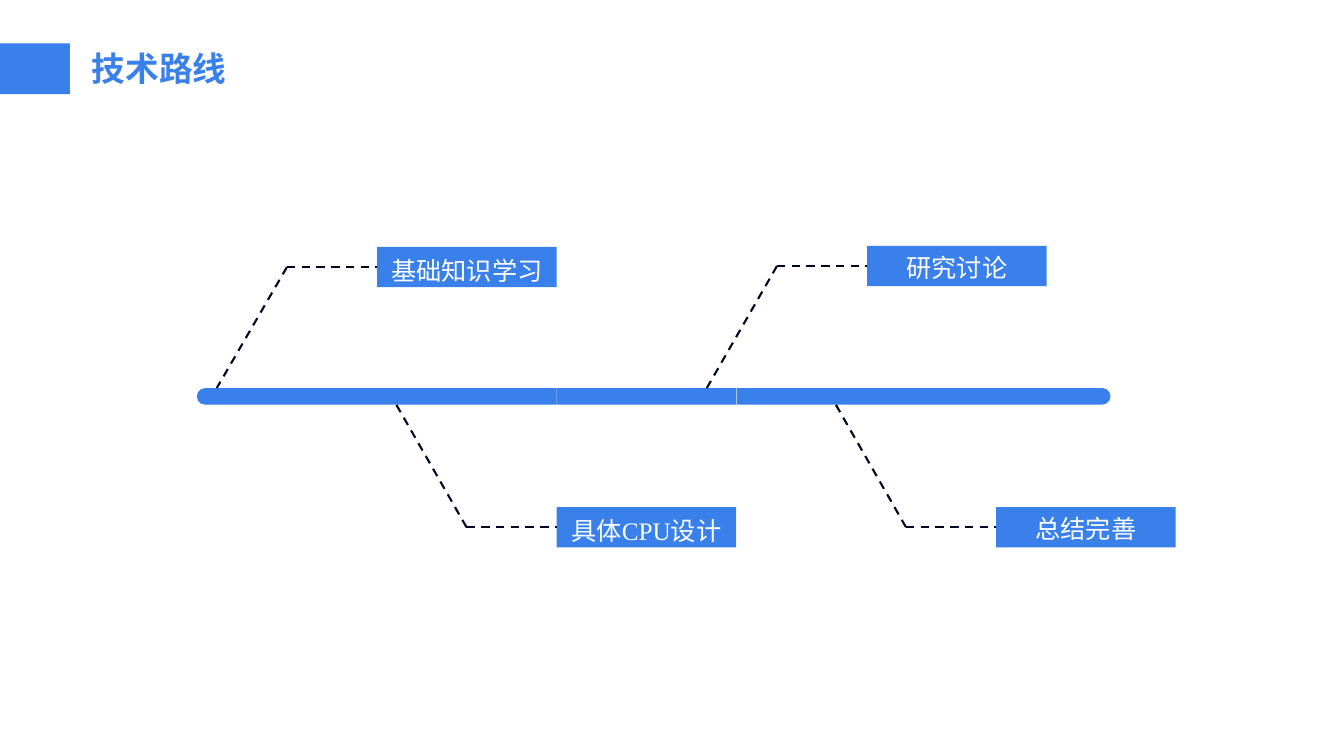
from lxml.etree import SubElement
from pptx import Presentation
from pptx.dml.color import RGBColor
from pptx.enum.dml import MSO_LINE
from pptx.enum.shapes import MSO_CONNECTOR, MSO_SHAPE as Shape
from pptx.enum.text import MSO_ANCHOR, MSO_AUTO_SIZE, PP_ALIGN
from pptx.oxml.ns import qn
from pptx.util import Inches, Pt

BLUE, INK, WHITE = "3980EA", "000325", "FFFFFF"
deck = Presentation()
deck.slide_width, deck.slide_height = Inches(13.33), Inches(7.5)
slide = deck.slides.add_slide(deck.slide_layouts[6])
shapes = slide.shapes

# Grid: 100 columns by 100 rows
col, row = deck.slide_width / 100, deck.slide_height / 100


def tint(color, code):
    color.rgb = RGBColor.from_string(code)


def block(kind, x, y, w, h, turn=0):
    """Blue shape covering the given cells, also after a quarter turn."""
    left, top, wide, high = x * col, y * row, w * col, h * row
    if turn:
        left, top = left + (wide - high) / 2, top + (high - wide) / 2
        wide, high = high, wide
    item = shapes.add_shape(kind, int(left), int(top), int(wide), int(high))
    item.rotation = turn
    item.shadow.inherit = False
    item.fill.solid()
    tint(item.fill.fore_color, BLUE)
    item.line.fill.background()
    return item


# Heading
block(Shape.RECTANGLE, 0, 5.75, 5.2, 6.7)
title = shapes.add_textbox(int(6.1 * col), int(5.75 * row),
                           int(11.5 * col), int(6.7 * row))
frame = title.text_frame
frame.word_wrap = False
frame.auto_size = MSO_AUTO_SIZE.SHAPE_TO_FIT_TEXT
frame.text = "技术路线"
font = frame.paragraphs[0].runs[0].font
font.name, font.size, font.bold = "Times New Roman", Pt(24), True
tint(font.color, BLUE)

# Time bar: two round ends and two straight parts
wide, top, thick = 13.36, 51.33, 2.2
first = 28.06
for x, w, turn in [(54.8, 27.83, 90), (14.65, 13.41, 270)]:
    cap = block(Shape.ROUND_2_SAME_RECTANGLE, x, top, w, thick, turn)
    cap.adjustments[0], cap.adjustments[1] = 0.5, 0
for i in range(2):
    block(Shape.RECTANGLE, first + i * wide, top, wide, thick)

# Steps: label, dashed slope to the bar, dashed arm
high, arm, reach = 5.33, 6.71, 11.93
steps = [
    ("基础知识学习", first, 32.67, 1.2),
    ("具体CPU设计", first + wide, 67.07, 1.2),
    ("研究讨论", 64.52, 32.53, 1.1),
    ("总结完善", 74.12, 67.07, 1.1),
]
for name, x, y, space in steps:
    label = block(Shape.RECTANGLE, x, y, wide, high)
    frame = label.text_frame
    frame.margin_left = frame.margin_right = 0
    frame.margin_top = frame.margin_bottom = 0
    frame.vertical_anchor = MSO_ANCHOR.MIDDLE
    frame.text = name
    para = frame.paragraphs[0]
    para.alignment, para.line_spacing = PP_ALIGN.CENTER, space
    font = para.runs[0].font
    font.name, font.size = "Times New Roman", Pt(18)
    tint(font.color, WHITE)

    mid = y + high / 2
    edge = top if y < top else top + thick
    bend = (x - arm, mid)
    for end in [(x - reach, edge), (x, mid)]:
        line = shapes.add_connector(
            MSO_CONNECTOR.STRAIGHT, int(bend[0] * col), int(bend[1] * row),
            int(end[0] * col), int(end[1] * row))
        tint(line.line.color, INK)
        line.line.width = Pt(1.5)
        line.line.dash_style = MSO_LINE.DASH
        SubElement(line.element.spPr, qn("a:effectLst"))

deck.save("out.pptx")
